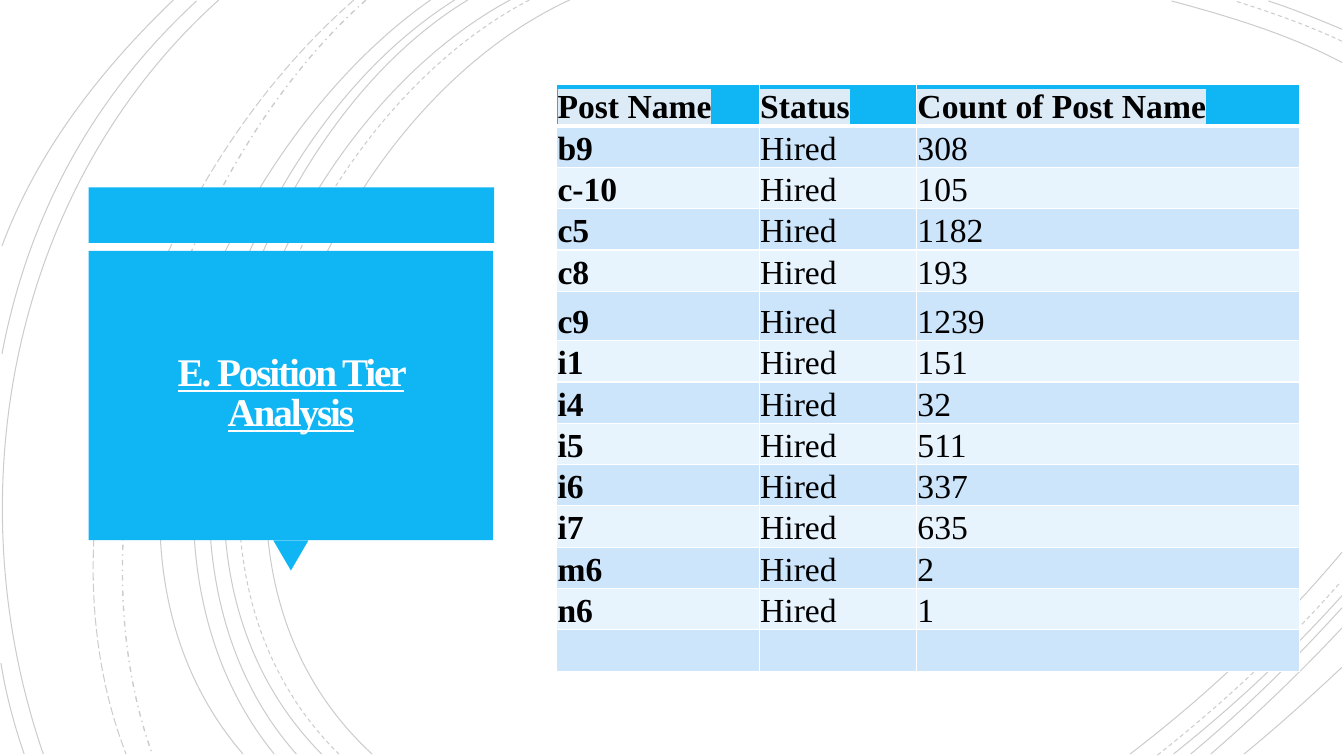
from lxml import etree
from pptx import Presentation
from pptx.dml.color import RGBColor
from pptx.enum.dml import MSO_LINE
from pptx.enum.shapes import MSO_SHAPE
from pptx.enum.text import MSO_ANCHOR, MSO_AUTO_SIZE, PP_ALIGN
from pptx.oxml.ns import qn
from pptx.util import Inches, Pt

SOLID, DASH = MSO_LINE.SOLID, MSO_LINE.DASH
LONG_DASH, DASH_DOT = MSO_LINE.LONG_DASH, MSO_LINE.DASH_DOT
RECTANGLE, TRIANGLE = MSO_SHAPE.RECTANGLE, MSO_SHAPE.ISOSCELES_TRIANGLE
MIDDLE, BOTTOM = MSO_ANCHOR.MIDDLE, MSO_ANCHOR.BOTTOM
CENTER, NO_AUTOFIT = PP_ALIGN.CENTER, MSO_AUTO_SIZE.NONE

BLUE = RGBColor(0x10, 0xB6, 0xF4)
DARK_BAND = RGBColor(0xCC, 0xE5, 0xFB)
LIGHT_BAND = RGBColor(0xE7, 0xF3, 0xFD)
HIGHLIGHT = RGBColor(0xDD, 0xEB, 0xF7)
TITLE_WHITE = RGBColor(0xFF, 0xFE, 0xFF)
WHITE = RGBColor(0xFF, 0xFF, 0xFF)
BLACK = RGBColor(0, 0, 0)
FONT = "Times New Roman"

# start x, y, two control points, end x, y
ARCS = [
    (SOLID, 5.65, 0, 3.15, 1.15, 1.43, 5.4, 3.69, 7.48),
    (SOLID, 13.31, 0.62, 12.78, 0.34, 12.18, 0.16, 11.62, 0.01),
    (SOLID, 11.21, 7.48, 11.97, 6.9, 12.69, 6.22, 13.31, 5.48),
    (DASH, 5.25, 0, 2.85, 1.25, 1.23, 5.37, 3.36, 7.48),
    (DASH, 13.31, 0.41, 12.97, 0.25, 12.6, 0.12, 12.25, 0.01),
    (DASH, 11.48, 7.49, 12.13, 6.98, 12.75, 6.4, 13.3, 5.77),
    (SOLID, 5.06, 0, 2.7, 1.27, 1.1, 5.37, 3.19, 7.48),
    (SOLID, 13.31, 0.29, 13.07, 0.19, 12.83, 0.09, 12.58, 0.01),
    (SOLID, 11.64, 7.48, 12.23, 7.01, 12.8, 6.48, 13.31, 5.91),
    (SOLID, 4.64, 0, 2.44, 1.33, 1.1, 5.41, 2.94, 7.48),
    (SOLID, 11.81, 7.48, 12.34, 7.04, 12.84, 6.55, 13.31, 6.03),
    (SOLID, 4.51, 0, 2.31, 1.38, 0.97, 5.33, 2.72, 7.48),
    (SOLID, 12.01, 7.48, 12.46, 7.09, 12.9, 6.67, 13.31, 6.23),
    (SOLID, 4.27, 0, 2.17, 1.47, 0.53, 5.29, 2.41, 7.48),
    (SOLID, 12.34, 7.48, 12.67, 7.21, 12.99, 6.92, 13.31, 6.62),
    (DASH_DOT, 3.63, 0, 1.76, 1.66, 0.65, 5.09, 1.51, 7.48),
    (LONG_DASH, 3.51, 0, 1.57, 1.69, 0.29, 4.99, 1.25, 7.48),
    (SOLID, 2.17, 0, 0.11, 1.85, -0.46, 4.9, 0.43, 7.48),
    (SOLID, 1.95, 0.01, 0.92, 0.96, 0.28, 2.14, 0.02, 3.51),
    (SOLID, 0.01, 6.58, 0.06, 6.89, 0.14, 7.19, 0.24, 7.48),
    (SOLID, 1.72, 0, 1, 0.69, 0.37, 1.5, 0.02, 2.44),
]
PANELS = [
    (RECTANGLE, 0.88, 1.86, 4.02, 0.55, 0),
    (TRIANGLE, 2.71, 5.36, 0.35, 0.3, 180),
    (RECTANGLE, 0.88, 2.49, 4.01, 2.87, 0),
]
HIRED_COUNTS = {
    "b9": 308, "c-10": 105, "c5": 1182, "c8": 193, "c9": 1239, "i1": 151,
    "i4": 32, "i5": 511, "i6": 337, "i7": 635, "m6": 2, "n6": 1,
}


def set_format(target, formats):
    for name, value in formats.items():
        setattr(target, name, value)


def add_color(parent, tag, color):
    holder = etree.SubElement(parent, qn(tag))
    etree.SubElement(holder, qn("a:srgbClr"), val=str(color))
    return holder


presentation = Presentation()
presentation.slide_width = Inches(13.33)
presentation.slide_height = Inches(7.5)
slide = presentation.slides.add_slide(presentation.slide_layouts[5])
slide.background.fill.solid()
slide.background.fill.fore_color.rgb = WHITE

for dash, *coordinates in ARCS:
    lengths = [Inches(value) for value in coordinates]
    start, *points = zip(lengths[::2], lengths[1::2])
    builder = slide.shapes.build_freeform(*start)
    builder.add_line_segments(points, close=False)
    arc = builder.convert_to_shape()
    segments = list(arc.element.iter(qn("a:lnTo")))
    outline = segments[0].getparent()
    curve = etree.SubElement(outline, qn("a:cubicBezTo"))
    for segment in segments:
        curve.append(segment[0])
        outline.remove(segment)
    arc.shadow.inherit = False
    arc.fill.background()
    arc.line.color.rgb = BLACK
    arc.line.width = Pt(1 if dash == DASH_DOT else 0.75)
    arc.line.dash_style = dash
    line_color = next(arc.element.iter(qn("a:srgbClr")))
    etree.SubElement(line_color, qn("a:alpha"), val="20000")

for kind, left, top, width, height, rotation in PANELS:
    panel = slide.shapes.add_shape(
        kind, Inches(left), Inches(top), Inches(width), Inches(height))
    panel.rotation = rotation
    panel.shadow.inherit = False
    panel.fill.solid()
    panel.fill.fore_color.rgb = BLUE
    panel.line.fill.background()

title = slide.shapes.title
slide.shapes.element.append(title.element)
set_format(title, {"left": Inches(0.97), "top": Inches(2.57),
                   "width": Inches(3.83), "height": Inches(2.69)})
margins = ("margin_left", "margin_top", "margin_right", "margin_bottom")
set_format(title.text_frame, dict.fromkeys(margins, Inches(0.25)))
set_format(title.text_frame, {"word_wrap": True, "auto_size": NO_AUTOFIT,
                              "vertical_anchor": MIDDLE})
paragraph = title.text_frame.paragraphs[0]
set_format(paragraph, {"alignment": CENTER, "line_spacing": 0.85})
run = paragraph.add_run()
run.text = "E. Position Tier Analysis"
set_format(run.font, {"name": FONT, "size": Pt(28), "bold": True, "underline": True})
run.font.color.rgb = TITLE_WHITE
run.font.element.set("spc", "-150") if hasattr(run.font, "element") else run._r.get_or_add_rPr().set("spc", "-150")

rows = [("Post Name", "Status", "Count of Post Name")]
rows += [(post, "Hired", str(count)) for post, count in HIRED_COUNTS.items()]
rows.append(("", "", ""))
table = slide.shapes.add_table(
    len(rows), 3, Inches(5.52), Inches(0.84), Inches(7.37), Inches(5.82)).table
for column, width in zip(table.columns, (2.01, 1.56, 3.8)):
    column.width = Inches(width)

for row_index, values in enumerate(rows):
    table.rows[row_index].height = Inches(0.49 if values[0] == "c9" else 0.41)
    is_header = row_index == 0
    band = BLUE if is_header else DARK_BAND if row_index % 2 else LIGHT_BAND
    for column_index, text in enumerate(values):
        cell = table.cell(row_index, column_index)
        set_format(cell, dict.fromkeys(margins, Inches(0.01)))
        set_format(cell, {"margin_bottom": 0, "vertical_anchor": BOTTOM})
        cell.fill.solid()
        cell.fill.fore_color.rgb = band
        properties = cell._tc.get_or_add_tcPr()
        for position, side in enumerate(("lnL", "lnR", "lnT", "lnB")):
            thick = is_header and side == "lnB" or row_index == 1 and side == "lnT"
            border = etree.Element(qn("a:" + side), w=str(Pt(3 if thick else 1)))
            add_color(border, "a:solidFill", WHITE)
            properties.insert(position, border)
        if text:
            run = cell.text_frame.paragraphs[0].add_run()
            run.text = text
            set_format(run.font, {"name": FONT, "size": Pt(24),
                                  "bold": is_header or column_index == 0})
            run.font.color.rgb = BLACK
            if is_header:
                run_properties = run._r.get_or_add_rPr()
                highlight = add_color(run_properties, "a:highlight", HIGHLIGHT)
                run_properties.find(qn("a:latin")).addprevious(highlight)

presentation.save("out.pptx")
